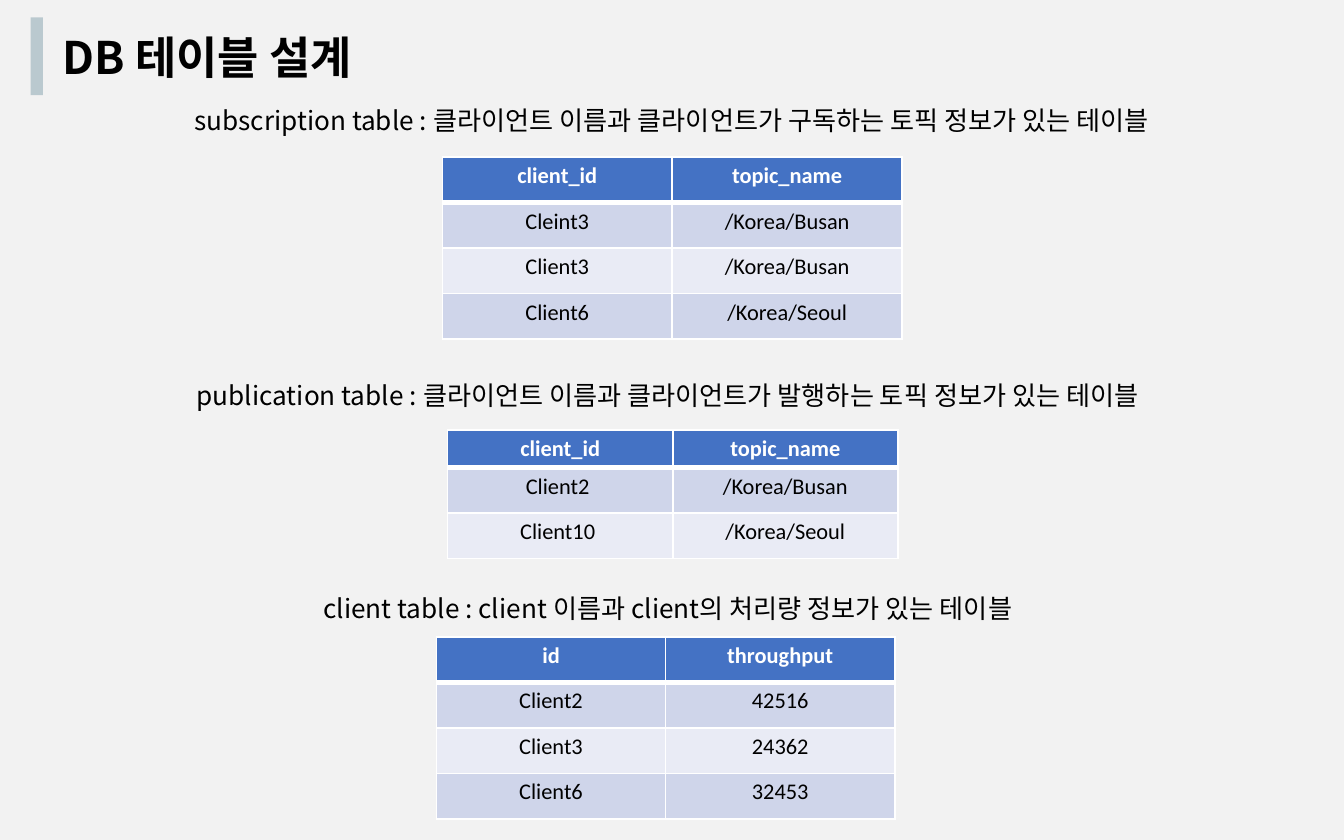
import pptx
import pptx.dml.color
import pptx.enum.shapes
import pptx.enum.text
import pptx.oxml
import pptx.oxml.ns
import pptx.util
from lxml import etree

Cm, Pt = pptx.util.Cm, pptx.util.Pt
ALIGN = pptx.enum.text.PP_ALIGN
qn = pptx.oxml.ns.qn

SANS = "Noto Sans CJK KR"
BLACK, WHITE = "000000", "FFFFFF"
HEADER_FILL, BAND_FILLS = "4472C4", ("CFD5EA", "E9EBF5")
ROW_H = 0.86
TITLE = {"size": Pt(24), "name": SANS, "bold": True}
CAPTION = {"size": Pt(14), "name": SANS}
HEADER = {"size": Pt(12), "name": "Calibri", "bold": True}
BODY = {"size": Pt(12), "name": "Calibri", "bold": False}

SECTIONS = [
    {
        "box": (3.25, 1.85, 18.9),
        "caption": "subscription table : 클라이언트 이름과 클라이언트가 구독하는 토픽 정보가 있는 테이블",
        "table": (5.11, 1.12, 8.69),
        "header_h": ROW_H,
        "rows": [("client_id", "topic_name"), ("Cleint3", "/Korea/Busan"),
                 ("Client3", "/Korea/Busan"), ("Client6", "/Korea/Seoul")],
    },
    {
        "box": (3.2, 7.04, 18.85),
        "caption": "publication table : 클라이언트 이름과 클라이언트가 발행하는 토픽 정보가 있는 테이블",
        "table": (5.26, 1.09, 8.51),
        "header_h": 0.71,
        "rows": [("client_id", "topic_name"), ("Client2 ", "/Korea/Busan"),
                 ("Client10 ", "/Korea/Seoul")],
    },
    {
        "box": (3.2, 11.07, 18.85),
        "caption": "client table : client 이름과 client의 처리량 정보가 있는 테이블",
        "table": (5.05, 0.97, 8.66),
        "header_h": ROW_H,
        "rows": [("id", "throughput"), ("Client2", "42516"),
                 ("Client3", "24362"), ("Client6", "32453")],
    },
]


def paint(target, color):
    """Give a fill or font colour format a hex colour."""
    target.rgb = pptx.dml.color.RGBColor.from_string(color)


def fill_solid(sp, color):
    """Fill a shape, cell or background with one colour."""
    sp.fill.solid()
    paint(sp.fill.fore_color, color)


def write(tf, text, style, color, align):
    """Write one styled paragraph into a text frame."""
    p = tf.paragraphs[0]
    p.alignment = align
    r = p.add_run()
    r.text = text
    for name, value in style.items():
        setattr(r.font, name, value)
    paint(r.font.color, color)
    ea = etree.SubElement(r.font._element, qn("a:ea"))
    ea.set("typeface", SANS)


def add_text(s, box, text, style, align):
    """Add a wrapping text box in black."""
    tf = s.shapes.add_textbox(*map(Cm, box)).text_frame
    tf.word_wrap = True
    tf.auto_size = pptx.enum.text.MSO_AUTO_SIZE.SHAPE_TO_FIT_TEXT
    if align == ALIGN.CENTER:
        tf.margin_left = tf.margin_right = 0
    write(tf, text, style, BLACK, align)


def add_borders(cell, top, bottom):
    """Draw white cell borders with the given top and bottom widths."""
    tc_pr = cell._tc.get_or_add_tcPr()
    widths = {"a:lnL": 1, "a:lnR": 1, "a:lnT": top, "a:lnB": bottom}
    for i, (tag, width) in enumerate(widths.items()):
        ln = etree.Element(qn(tag), w=str(Pt(width)))
        fill = etree.SubElement(ln, qn("a:solidFill"))
        etree.SubElement(fill, qn("a:srgbClr"), val=WHITE)
        tc_pr.insert(i, ln)


def add_data_table(s, left, top, width, header_h, rows):
    """Add a banded table with a header row."""
    heights = [header_h] + [ROW_H] * (len(rows) - 1)
    columns = len(rows[0])
    box = map(Cm, (left, top, width, sum(heights)))
    table = s.shapes.add_table(len(rows), columns, *box).table
    for column in table.columns:
        column.width = Cm(width / columns)
    for i, (values, height) in enumerate(zip(rows, heights)):
        table.rows[i].height = Cm(height)
        fill = BAND_FILLS[(i - 1) % 2] if i else HEADER_FILL
        style, color = (BODY, BLACK) if i else (HEADER, WHITE)
        for j, text in enumerate(values):
            cell = table.cell(i, j)
            cell.margin_left = cell.margin_right = Cm(0.2)
            cell.margin_top = cell.margin_bottom = Cm(0.1)
            fill_solid(cell, fill)
            add_borders(cell, 3 if i == 1 else 1, 1 if i else 3)
            write(cell.text_frame, text, style, color, ALIGN.CENTER)


def add_title(s, left, top, width, height):
    """Add the heading with its translucent accent bar."""
    bar = s.shapes.add_shape(
        pptx.enum.shapes.MSO_SHAPE.RECTANGLE,
        Cm(left), Cm(top), Cm(0.23), Cm(height))
    bar.shadow.inherit = False
    bar.line.fill.background()
    fill_solid(bar, "01415D")
    tint = bar._element.spPr.find(qn("a:solidFill"))[0]
    etree.SubElement(tint, qn("a:alpha"), val="23000")
    box = (left + 0.36, top + 0.1, width - 0.36, 1.27)
    add_text(s, box, "DB 테이블 설계", TITLE, ALIGN.LEFT)


def add_section(s, box, caption, table, header_h, rows):
    """Add a caption and the table placed below it."""
    left, top, width = box
    dx, dy, table_width = table
    add_text(s, (left, top, width, 0.86), caption, CAPTION, ALIGN.CENTER)
    add_data_table(s, left + dx, top + dy, table_width, header_h, rows)


def main():
    """Build and save the slide."""
    prs = pptx.Presentation()
    prs.slide_width, prs.slide_height = Cm(25.4), Cm(15.88)
    s = prs.slides.add_slide(prs.slide_layouts[6])
    fill_solid(s.background, "F2F2F2")
    add_title(s, 0.58, 0.33, 19.66, 1.47)
    for section in SECTIONS:
        add_section(s, **section)
    prs.save("out.pptx")


if __name__ == "__main__":
    main()
